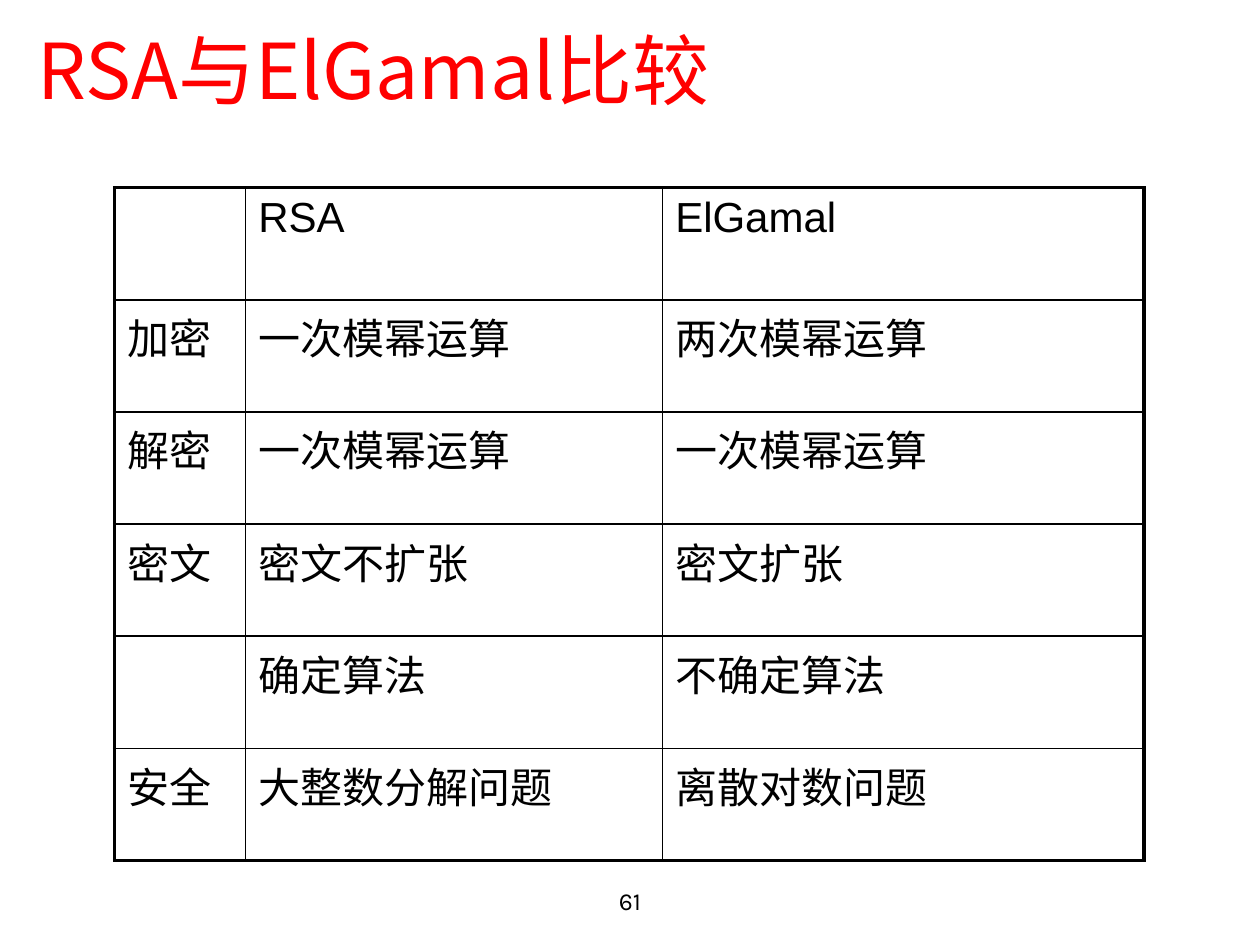
from lxml import etree
from pptx import Presentation
from pptx.dml.color import RGBColor
from pptx.enum.text import MSO_ANCHOR, PP_ALIGN
from pptx.oxml.ns import qn
from pptx.util import Inches, Pt

MIDDLE = MSO_ANCHOR.MIDDLE
LEFT, CENTER = PP_ALIGN.LEFT, PP_ALIGN.CENTER
CJK_FONT = "Noto Sans CJK SC"
BLACK, RED = "000000", "FF0000"
THIN, THICK = 1, 2.25

COLUMN_WIDTHS = [1.04, 3.31, 3.82]
ROW_HEIGHT = 0.89
COMPARISON = [
    ["", "RSA", "ElGamal"],
    ["加密", "一次模幂运算", "两次模幂运算"],
    ["解密", "一次模幂运算", "一次模幂运算"],
    ["密文", "密文不扩张", "密文扩张"],
    ["", "确定算法", "不确定算法"],
    ["安全", "大整数分解问题", "离散对数问题"],
]


def color(hex_value):
    return RGBColor.from_string(hex_value)


def format_text(para, size, font, hex_value):
    """Format all runs, with the CJK font for Chinese characters."""
    for span in para.runs:
        span.font.size = Pt(size)
        span.font.name = font
        span.font.color.rgb = color(hex_value)
        east_asian = etree.SubElement(span.font._element, qn("a:ea"))
        east_asian.set("typeface", CJK_FONT)


def add_text(page, place, text, size, font, hex_value, align=LEFT, spacing=1.0):
    box = page.shapes.add_textbox(*[Inches(length) for length in place])
    frame = box.text_frame
    frame.word_wrap = True
    frame.vertical_anchor = MIDDLE
    frame.text = text
    para = frame.paragraphs[0]
    para.alignment = align
    para.line_spacing = spacing
    format_text(para, size, font, hex_value)


def set_borders(cell, widths):
    """Draw the left, right, top and bottom borders, in that order."""
    properties = cell._tc.get_or_add_tcPr()
    for index, (side, width) in enumerate(zip("LRTB", widths)):
        line = etree.Element(qn(f"a:ln{side}"), w=str(Pt(width)))
        fill = etree.SubElement(line, qn("a:solidFill"))
        etree.SubElement(fill, qn("a:srgbClr"), val=BLACK)
        properties.insert(index, line)


def add_comparison_table(page, left, top):
    row_count, column_count = len(COMPARISON), len(COLUMN_WIDTHS)
    table = page.shapes.add_table(
        row_count, column_count, Inches(left), Inches(top),
        Inches(sum(COLUMN_WIDTHS)), Inches(ROW_HEIGHT * row_count)).table
    table.first_row = table.horz_banding = False
    for column, width in zip(table.columns, COLUMN_WIDTHS):
        column.width = Inches(width)

    for r, texts in enumerate(COMPARISON):
        table.rows[r].height = Inches(ROW_HEIGHT)
        for c, text in enumerate(texts):
            cell = table.cell(r, c)
            cell.fill.background()
            cell.text = text
            format_text(cell.text_frame.paragraphs[0], 24, "Arial", BLACK)
            # Thick lines only along the outer edge
            on_edge = [c == 0, c == column_count - 1, r == 0, r == row_count - 1]
            set_borders(cell, [THICK if edge else THIN for edge in on_edge])


def main():
    deck = Presentation()
    deck.slide_width, deck.slide_height = Inches(10), Inches(7.5)
    page = deck.slides.add_slide(deck.slide_layouts[6])

    # Title
    add_text(page, (0.2, 0.17, 9, 0.85), "RSA与ElGamal比较", 44, CJK_FONT, RED,
             spacing=0.9)
    # Comparison of the two algorithms
    add_comparison_table(page, 0.91, 1.49)
    # Page number
    add_text(page, (3.31, 6.95, 3.38, 0.4), "61", 14, "Karla", BLACK, align=CENTER)

    deck.save("out.pptx")


if __name__ == "__main__":
    main()
